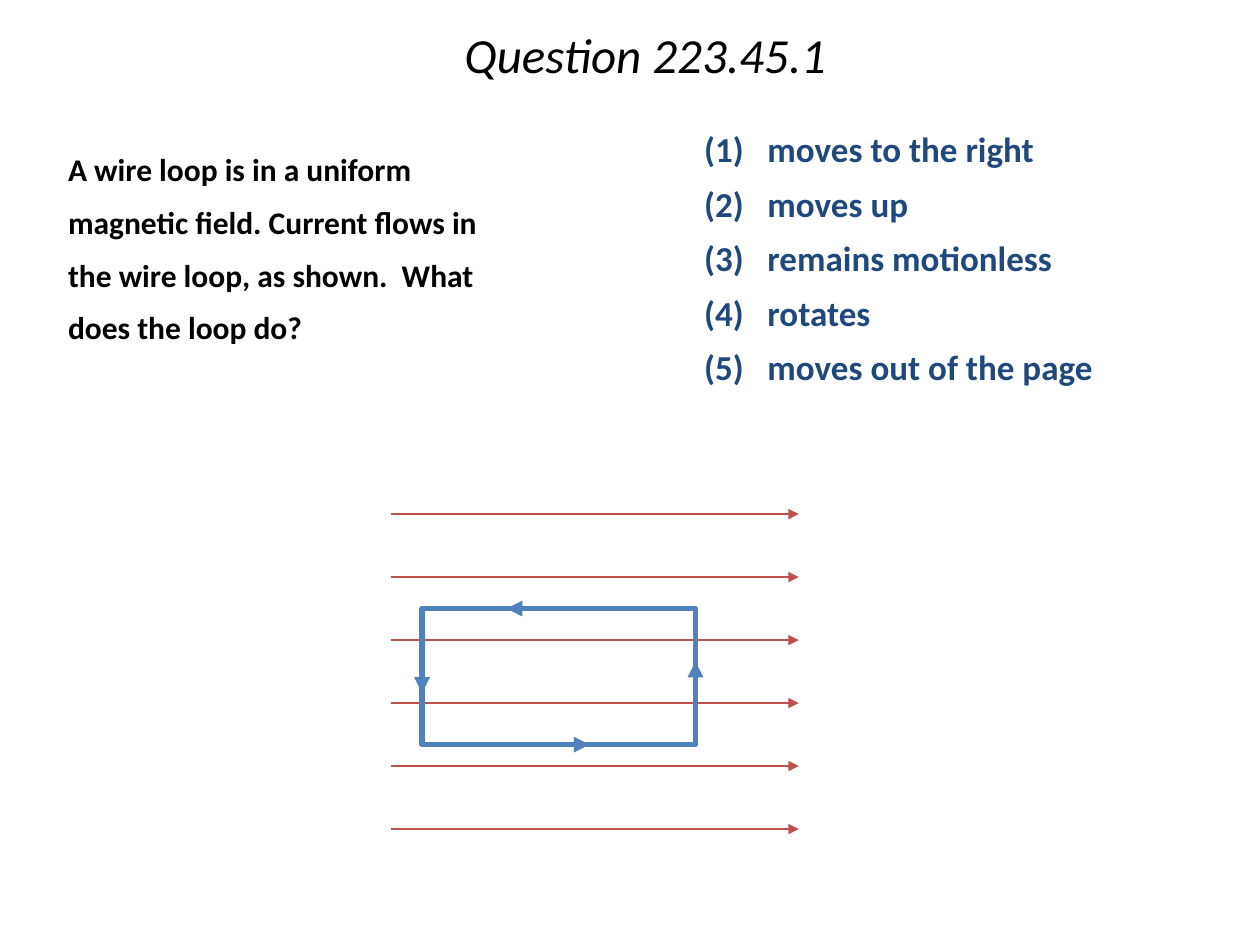
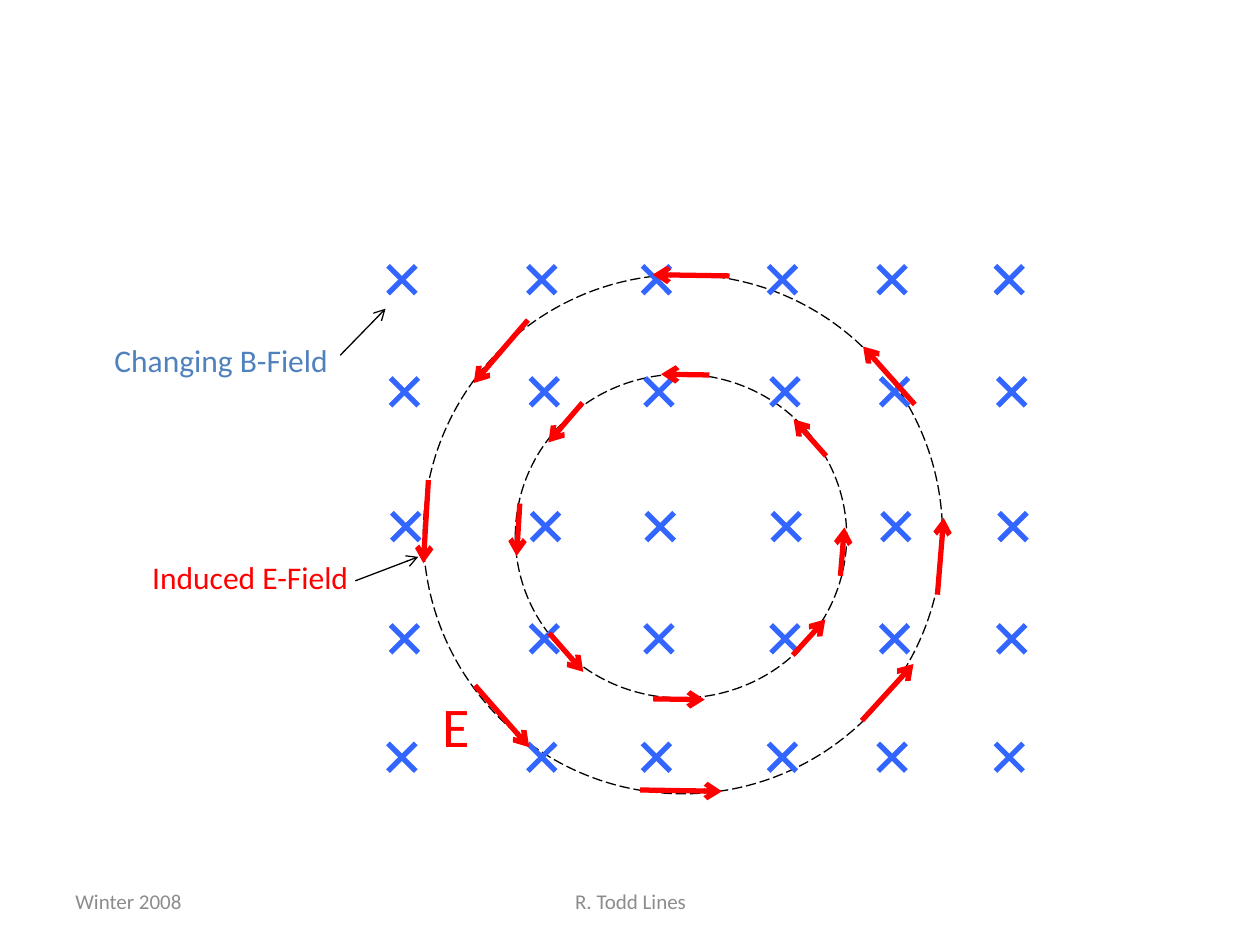
from itertools import product

from pptx import Presentation
from pptx import util as u
from pptx.dml.color import RGBColor
from pptx.enum import dml, shapes, text
from pptx.oxml.ns import qn
from pptx.oxml.xmlchemy import OxmlElement

# The slide is a grid of 10 columns by 7.5 rows
CELL = u.Inches(1)
COLUMNS, ROWS = 10, 7.5
FONT = "Calibri"

BLACK = RGBColor(0x00, 0x00, 0x00)
NAVY = RGBColor(0x1F, 0x49, 0x7D)
STEEL = RGBColor(0x4F, 0x81, 0xBD)
BRICK = RGBColor(0xC0, 0x50, 0x4D)
BLUE = RGBColor(0x33, 0x66, 0xFF)
RED = RGBColor(0xFF, 0x00, 0x00)
GREY = RGBColor(0x8C, 0x8C, 0x8C)

# Text styles: font, paragraph and frame values
TITLE = dict(
    color=BLACK, font=dict(size=u.Pt(28), italic=True),
    para=dict(alignment=text.PP_ALIGN.CENTER, line_spacing=0.9),
    frame=dict(vertical_anchor=text.MSO_ANCHOR.MIDDLE))
QUESTION = dict(
    color=BLACK, font=dict(size=u.Pt(18), bold=True),
    para=dict(line_spacing=1.4), frame=dict(margin_left=u.Inches(0.54)))
CHOICES = dict(
    color=NAVY, font=dict(size=u.Pt(20), bold=True),
    para=dict(line_spacing=0.9, space_before=u.Pt(9.6)))
FOOTER = dict(
    color=GREY, font=dict(size=u.Pt(12)),
    frame=dict(vertical_anchor=text.MSO_ANCHOR.MIDDLE))
CENTRED_FOOTER = FOOTER | dict(para=dict(alignment=text.PP_ALIGN.CENTER))
B_LABEL = dict(color=STEEL, font=dict(size=u.Pt(18)))
E_LABEL = dict(color=RED, font=dict(size=u.Pt(18)))
E_SYMBOL = dict(color=RED, font=dict(size=u.Pt(32)), frame=dict(word_wrap=False))

# Arrows around a field ring, measured from the ring's top left corner
RING_ARROWS = [
    ((4.08, 2.54), (4.13, 1.93)), ((0.04, 1.63), (0, 2.29)),
    ((2.43, 0.01), (1.82, 0)), ((1.72, 4.09), (2.37, 4.1)),
    ((3.9, 1.03), (3.49, 0.57)), ((0.41, 3.26), (0.84, 3.75)),
    ((3.48, 3.54), (3.89, 3.09)), ((0.83, 0.36), (0.4, 0.86)),
]


def cells(*counts):
    return [round(count * CELL) for count in counts]


def set_values(target, values):
    for name, value in values.items():
        setattr(target, name, value)


def add_text(page, place, lines, style):
    box = page.shapes.add_textbox(*cells(*place))
    frame = box.text_frame
    set_values(frame, dict(word_wrap=True) | style.get("frame", {}))
    for index, line in enumerate(lines):
        para = frame.paragraphs[0] if index == 0 else frame.add_paragraph()
        set_values(para, style.get("para", {}))
        span = para.add_run()
        span.text = line
        set_values(span.font, dict(name=FONT) | style["font"])
        span.font.color.rgb = style["color"]


def add_line(parent, start, end, color, points, head=None):
    line = parent.shapes.add_connector(
        shapes.MSO_CONNECTOR.STRAIGHT, *cells(*start, *end))
    line.line.color.rgb = color
    line.line.width = u.Pt(points)
    properties = line.element.spPr
    if head:
        tip = OxmlElement("a:tailEnd")
        tip.set("type", head)
        properties.find(qn("a:ln")).append(tip)
    properties.append(OxmlElement("a:effectLst"))


def add_outline(page, kind, place, color, points, dash=None):
    outline = page.shapes.add_shape(kind, *cells(*place))
    outline.shadow.inherit = False
    outline.fill.background()
    outline.line.color.rgb = color
    set_values(outline.line, dict(width=u.Pt(points), dash_style=dash))


def add_cross(page, left, top, size=0.22):
    cross = page.shapes.add_group_shape()
    right, bottom = left + size, top + size
    add_line(cross, (left, top), (right, bottom), BLUE, 3)
    add_line(cross, (right, top), (left, bottom), BLUE, 3)


def add_ring_arrows(page, left, top, scale):
    ring = page.shapes.add_group_shape()
    for ends in RING_ARROWS:
        start, end = [(left + scale * x, top + scale * y) for x, y in ends]
        add_line(ring, start, end, RED, 3, "arrow")


def build_question(page):
    add_text(page, (0.72, 0, 8.8, 0.92), ["Question 223.45.1"], TITLE)
    add_text(page, (0, 1.02, 4.21, 1.9), [
        "A wire loop is in a uniform magnetic field. Current flows in "
        "the wire loop, as shown.  What does the loop do?"], QUESTION)
    choices = ["moves to the right", "moves up", "remains motionless",
               "rotates", "moves out of the page"]
    add_text(page, (5.49, 1, 4.51, 2.27),
             [f"({number})   {choice}" for number, choice in enumerate(choices, 1)],
             CHOICES)

    # Uniform field
    for row in range(6):
        height = 4.08 + 0.5 * row
        add_line(page, (3.1, height), (6.34, height), BRICK, 0.75, "triangle")

    # Wire loop and the direction of its current
    left, top, width, height = loop = 3.35, 4.83, 2.17, 1.08
    right, bottom = left + width, top + height
    add_outline(page, shapes.MSO_SHAPE.RECTANGLE, loop, STEEL, 3)
    for start, end in [((4.27, top), (4.02, top)), ((left, 5.25), (left, 5.5)),
                       ((right, 5.5), (right, 5.25)),
                       ((4.43, bottom), (4.68, bottom))]:
        add_line(page, start, end, STEEL, 3, "triangle")


def build_induced_field(page):
    # Field rings
    for place in [(3.36, 2.18, 4.12, 4.12), (4.09, 2.97, 2.63, 2.57)]:
        add_outline(page, shapes.MSO_SHAPE.OVAL, place, BLACK, 0.75,
                    dml.MSO_LINE.LONG_DASH)

    add_text(page, (0.5, 6.95, 2.33, 0.4), ["Winter 2008"], FOOTER)
    add_text(page, (3.42, 6.95, 3.17, 0.4), ["R. Todd Lines"], CENTRED_FOOTER)

    # Field into the page; the middle rows sit slightly to the right
    lefts = [3.08, 4.19, 5.1, 6.1, 6.97, 7.9]
    rows = [(2.11, 0), (3, 0.02), (4.07, 0.03), (4.96, 0.02), (5.9, 0)]
    for left, (top, shift) in product(lefts, rows):
        add_cross(page, left + shift, top)

    # Induced field along both rings
    add_ring_arrows(page, 3.36, 2.18, 1)
    add_text(page, (3.41, 5.44, 0.42, 0.64), ["E"], E_SYMBOL)
    add_ring_arrows(page, 4.1, 2.97, 0.63)

    # Labels with pointers
    add_text(page, (0.81, 2.66, 1.91, 0.4), ["Changing B-Field"], B_LABEL)
    add_text(page, (1.11, 4.38, 1.91, 0.4), ["Induced E-Field"], E_LABEL)
    add_line(page, (2.7, 2.82), (3.06, 2.45), BLACK, 0.75, "arrow")
    add_line(page, (2.82, 4.61), (3.32, 4.42), BLACK, 0.75, "arrow")


def main():
    deck = Presentation()
    deck.slide_width, deck.slide_height = cells(COLUMNS, ROWS)
    for build in (build_question, build_induced_field):
        build(deck.slides.add_slide(deck.slide_layouts[6]))
    deck.save("out.pptx")


if __name__ == "__main__":
    main()
